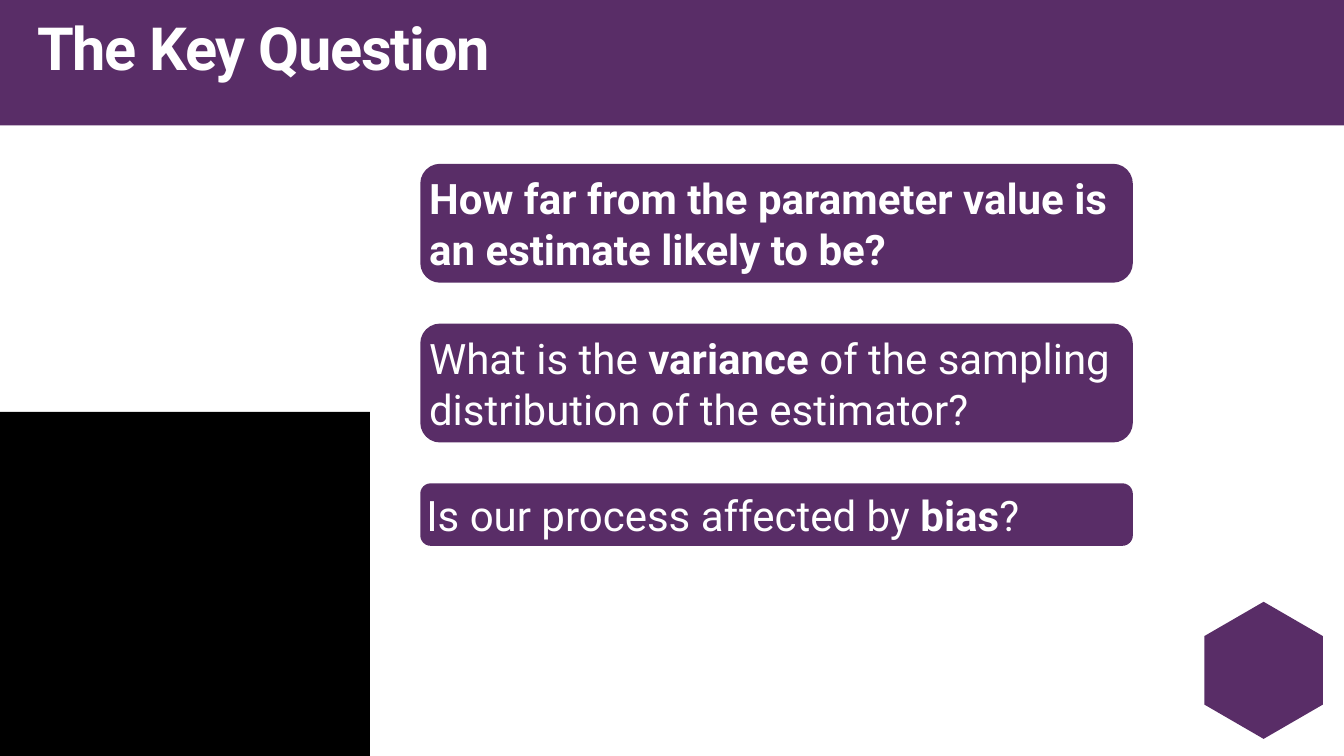
from pptx import Presentation
from pptx import util as u
from pptx.dml.color import RGBColor
from pptx.enum import shapes, text

COLORS = {"purple": "592D67", "white": "FFFFFF", "black": "000000"}
FONT = "Roboto"
INSET = u.Inches(0.06)


def write_text(shape, content, size, anchor, bold=False, spacing=None, line=None, fit=None):
    """Write one paragraph; parts between asterisks turn bold."""
    frame = shape.text_frame
    frame.word_wrap = True
    frame.vertical_anchor = anchor
    frame.auto_size = fit or text.MSO_AUTO_SIZE.NONE
    frame.margin_left = frame.margin_right = INSET
    frame.margin_top = frame.margin_bottom = INSET
    para = frame.paragraphs[0]
    para.alignment = text.PP_ALIGN.LEFT
    if line:
        para.line_spacing = line
    for index, part in enumerate(content.split("*")):
        span = para.add_run()
        span.text = part
        span.font.name = FONT
        span.font.size = u.Pt(size)
        span.font.bold = bold or index % 2 == 1
        span.font.color.rgb = RGBColor.from_string(COLORS["white"])
        if spacing is not None:
            span.font._element.set("spc", str(round(spacing * 100)))


class SlideBuilder:
    def __init__(self, deck):
        self.page = deck.slides.add_slide(deck.slide_layouts[5])
        self.body_size = 60
        self.title_size = 85

    def paint(self, shape, color):
        shape.shadow.inherit = False
        shape.fill.solid()
        shape.fill.fore_color.rgb = RGBColor.from_string(COLORS[color])
        shape.line.fill.background()
        return shape

    def block(self, left, top, width, height, color, kind=shapes.MSO_SHAPE.RECTANGLE):
        place = [u.Inches(value) for value in (left, top, width, height)]
        return self.paint(self.page.shapes.add_shape(kind, *place), color)

    def hexagon(self, left, top, width, height, color):
        right, middle = left + width, left + width / 2
        upper, lower = top + height / 4, top + height * 3 / 4
        points = [(right, upper), (right, lower), (middle, top + height),
                  (left, lower), (left, upper)]
        outline = self.page.shapes.build_freeform(
            u.Inches(middle), u.Inches(top))
        outline.add_line_segments([(u.Inches(x), u.Inches(y)) for x, y in points], close=True)
        return self.paint(outline.convert_to_shape(), color)

    def title(self, content, left, top, width, height):
        box = self.page.shapes.title
        box.left, box.top = u.Inches(left), u.Inches(top)
        box.width, box.height = u.Inches(width), u.Inches(height)
        write_text(box, content, self.title_size, text.MSO_ANCHOR.TOP,
                   bold=True, spacing=-1.7, line=0.8)
        # Bring the title in front of the band
        self.page.shapes._spTree.append(box._element)

    def card(self, content, left, top, width, height, bold=False):
        box = self.block(left, top, width, height, "purple",
                         shapes.MSO_SHAPE.ROUNDED_RECTANGLE)
        write_text(box, content, self.body_size, text.MSO_ANCHOR.MIDDLE, bold=bold,
                   fit=text.MSO_AUTO_SIZE.SHAPE_TO_FIT_TEXT)


def main():
    deck = Presentation()
    deck.slide_width, deck.slide_height = u.Inches(26.67), u.Inches(15)
    slide = SlideBuilder(deck)

    # Header band, corner hexagon and title
    slide.block(0, -0.06, 26.67, 2.55, "purple")
    slide.hexagon(23.9, 11.94, 2.35, 2.72, "purple")
    slide.title("The Key Question", 0.68, 0.43, 25.31, 1.57)

    # Speaker area
    slide.block(0, 8.17, 7.34, 6.83, "black")

    # Question cards, stacked with equal gaps
    cards = [
        ("How far from the parameter value is an estimate likely to be?", 2.36, True),
        ("What is the *variance* of the sampling distribution of the estimator?", 2.36, False),
        ("Is our process affected by *bias*?", 1.24, False),
    ]
    top, gap = 3.25, 0.81
    for content, height, bold in cards:
        slide.card(content, 8.34, top, 14.14, height, bold)
        top += height + gap

    deck.save("out.pptx")


if __name__ == "__main__":
    main()
